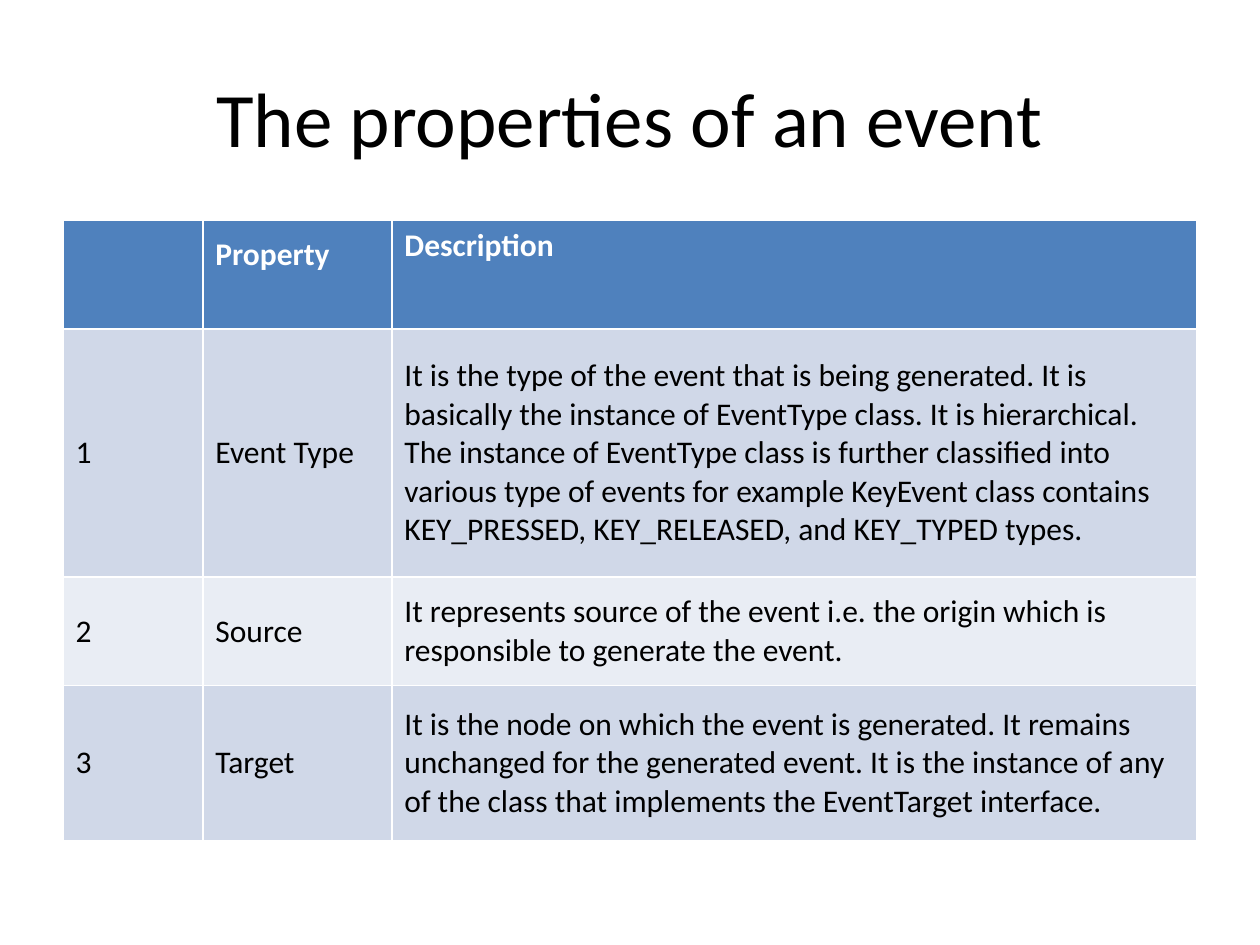
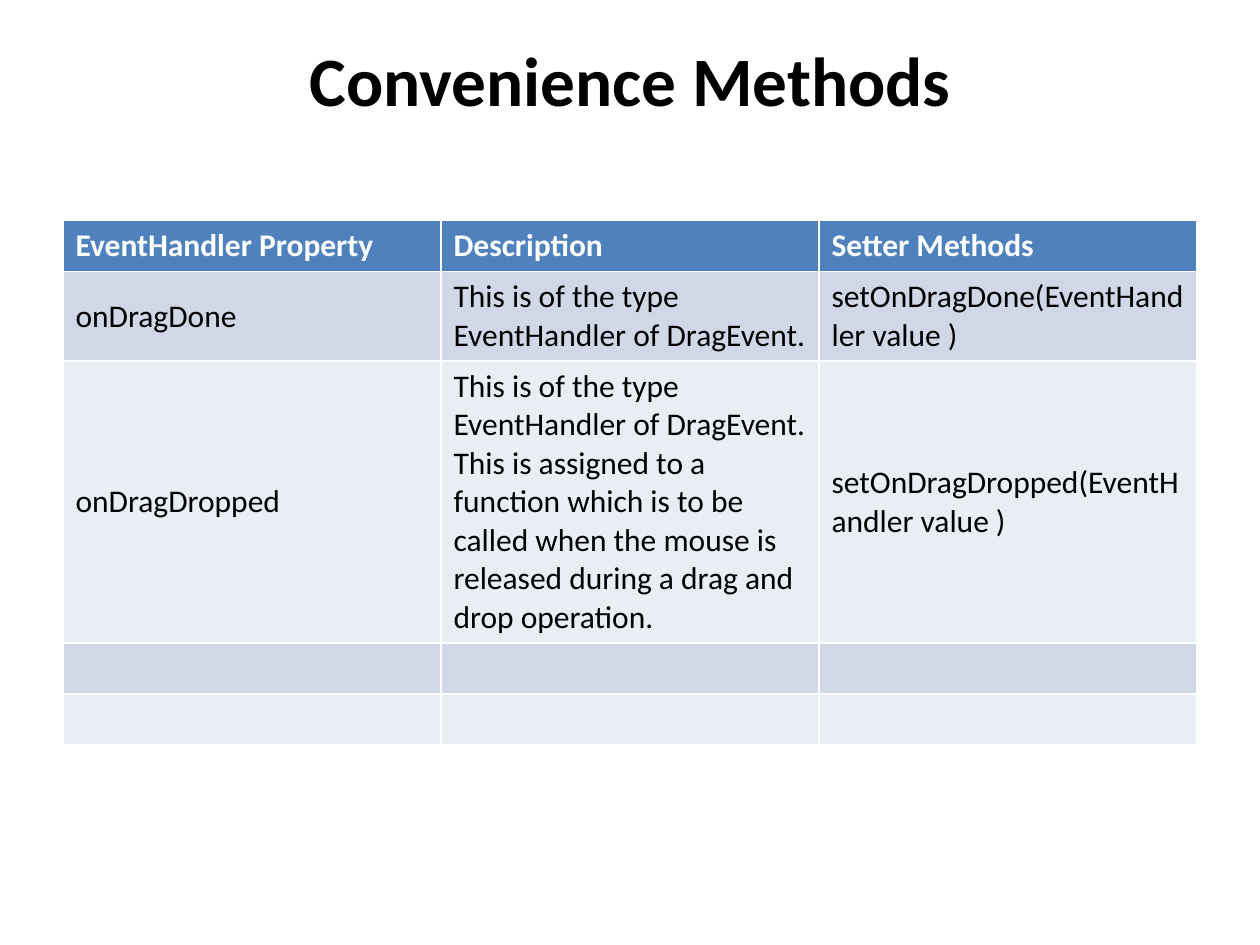
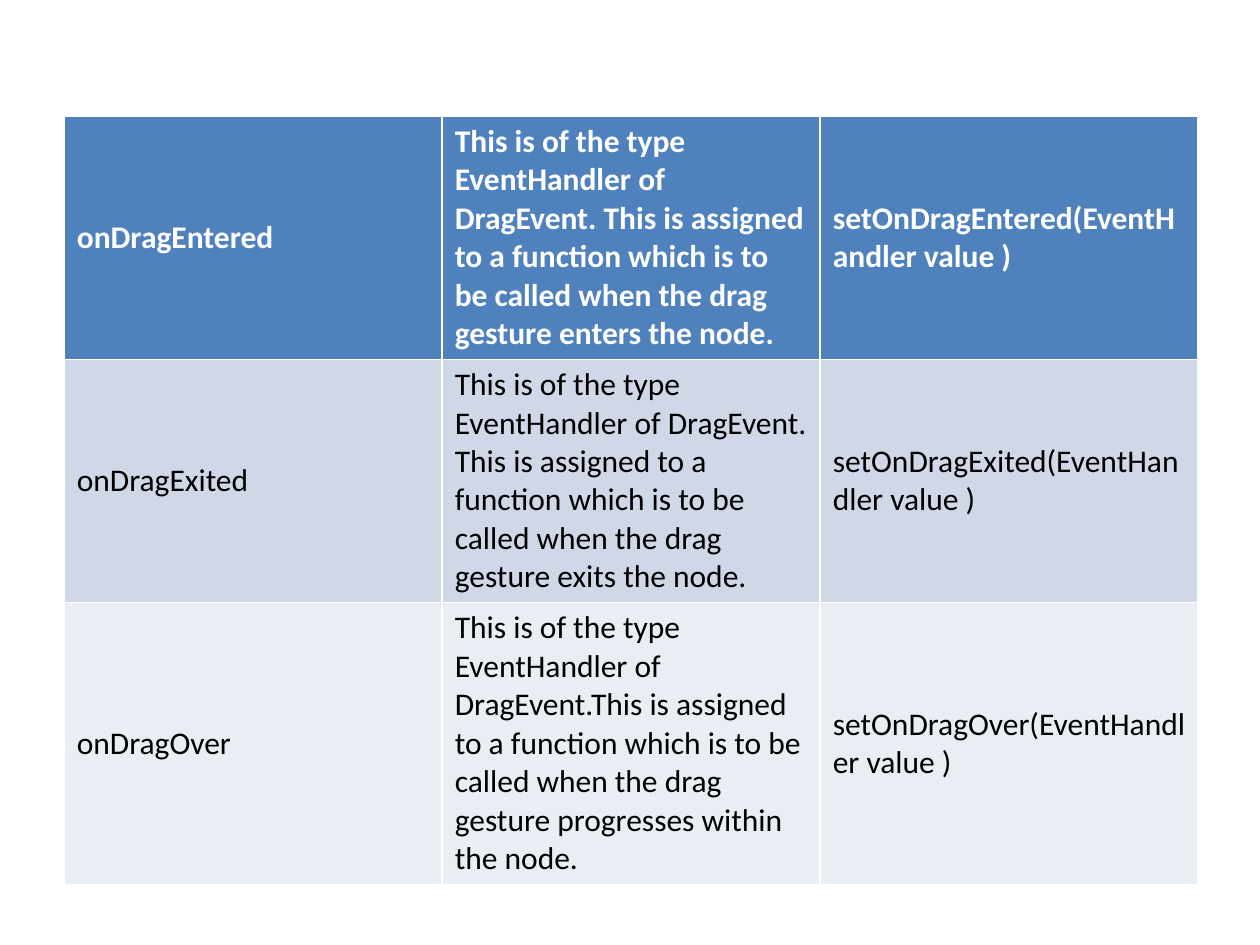
from dataclasses import dataclass

from pptx import Presentation
from pptx import util as u
from pptx.dml import color
from pptx.enum import text


@dataclass(frozen=True)
class Theme:
    """Colours, font and type sizes shared by the slides."""
    font: str = "Calibri"
    ink: str = "000000"
    head_ink: str = "FFFFFF"
    head_fill: str = "4F81BD"
    bands: tuple = ("D0D8E8", "E9EDF4")
    title_size: float = 44
    small_title_size: float = 39.6
    cell_size: float = 18


THEME = Theme()
THIRDS = (3, 3, 3)
LINE = 0.305
PADDING = 0.1
DRAG_TYPE = "This is of the type EventHandler of DragEvent."
ASSIGNED = "This is assigned to a function which is to be called when the"

EVENT_PROPERTIES = [
    ("", "Property", "Description"),
    ("1", "Event Type",
     "It is the type of the event that is being generated. It is basically the "
     "instance of EventType class. It is hierarchical. The instance of EventType "
     "class is further classified into various type of events for example KeyEvent "
     "class contains KEY_PRESSED, KEY_RELEASED, and KEY_TYPED types."),
    ("2", "Source",
     "It represents source of the event i.e. the origin which is responsible to "
     "generate the event."),
    ("3", "Target",
     "It is the node on which the event is generated. It remains unchanged for the "
     "generated event. It is the instance of any of the class that implements the "
     "EventTarget interface."),
]


def handler_row(action, description):
    """Return the property, description and setter of one drag handler."""
    return f"onDrag{action}", description, f"setOnDrag{action}(EventHandler value )"


CONVENIENCE_METHODS = [
    ("EventHandler Property", "Description", "Setter Methods"),
    handler_row("Done", DRAG_TYPE),
    handler_row("Dropped", f"{DRAG_TYPE} {ASSIGNED} mouse is released during a "
                           "drag and drop operation."),
    ("", "", ""),
    ("", "", ""),
]

DRAG_GESTURES = [
    handler_row("Entered", f"{DRAG_TYPE} {ASSIGNED} drag gesture enters the node."),
    handler_row("Exited", f"{DRAG_TYPE} {ASSIGNED} drag gesture exits the node."),
    handler_row("Over", f"{DRAG_TYPE}{ASSIGNED} drag gesture progresses within the node."),
]


def apply(target, values):
    """Set each named attribute of the target."""
    for name, value in values.items():
        setattr(target, name, value)


def style_font(font, size, ink, bold=False):
    """Format a font in the theme typeface."""
    apply(font, {"name": THEME.font, "size": u.Pt(size), "bold": bold})
    font.color.rgb = color.RGBColor.from_string(ink)


def add_title(slide, wording, size, bold=False, bottom=0.05):
    """Place and format the slide title."""
    title = slide.shapes.title
    apply(title, {"left": u.Inches(0.5), "top": u.Inches(0.3),
                  "width": u.Inches(9), "height": u.Inches(1.25)})
    frame = title.text_frame
    apply(frame, {"text": wording, "word_wrap": True,
                  "vertical_anchor": text.MSO_ANCHOR.MIDDLE,
                  "margin_bottom": u.Inches(bottom)})
    heading = frame.paragraphs[0]
    heading.alignment = text.PP_ALIGN.CENTER
    style_font(heading.runs[0].font, size, THEME.ink, bold)


def fill_cell(cell, wording, row):
    """Write one cell with its header or band format."""
    header = row == 0
    fill = THEME.head_fill if header else THEME.bands[(row - 1) % 2]
    cell.fill.solid()
    cell.fill.fore_color.rgb = color.RGBColor.from_string(fill)
    apply(cell, {"text": wording, "vertical_anchor": text.MSO_ANCHOR.MIDDLE})
    ink = THEME.head_ink if header else THEME.ink
    style_font(cell.text_frame.paragraphs[0].font, THEME.cell_size, ink, header)


def add_grid(slide, left, top, widths, heights, records):
    """Add a table with a header row and banded records."""
    grid = slide.shapes.add_table(
        len(records), len(widths), u.Inches(left), u.Inches(top),
        u.Inches(sum(widths)), u.Inches(sum(heights))).table
    for column, width in zip(grid.columns, widths):
        column.width = u.Inches(width)
    for row, (height, record) in enumerate(zip(heights, records)):
        grid.rows[row].height = u.Inches(height)
        for column, wording in enumerate(record):
            fill_cell(grid.cell(row, column), wording, row)
    return grid


def line_heights(*counts):
    """Return row heights that hold the given numbers of text lines."""
    return [count * LINE + PADDING for count in counts]


def main():
    """Build the slides on events and drag handlers."""
    deck = Presentation()
    apply(deck, {"slide_width": u.Inches(10), "slide_height": u.Inches(7.5)})
    title_only, blank = deck.slide_layouts[5], deck.slide_layouts[6]

    properties = deck.slides.add_slide(title_only)
    add_title(properties, "The properties of an event", THEME.title_size)
    grid = add_grid(properties, 0.5, 1.75, (1.11, 1.5, 6.39),
                    (0.86, 1.97, 0.86, 1.23), EVENT_PROPERTIES)
    grid.cell(0, 1).margin_bottom = u.Inches(0.36)
    grid.cell(0, 2).vertical_anchor = text.MSO_ANCHOR.TOP

    methods = deck.slides.add_slide(title_only)
    add_title(methods, "Convenience Methods", THEME.small_title_size, True, 0.65)
    add_grid(methods, 0.5, 1.75, THIRDS, line_heights(1, 2, 7, 1, 1),
             CONVENIENCE_METHODS)

    gestures = deck.slides.add_slide(blank)
    add_grid(gestures, 0.51, 0.92, THIRDS, line_heights(6, 6, 7), DRAG_GESTURES)

    deck.save("out.pptx")


if __name__ == "__main__":
    main()
